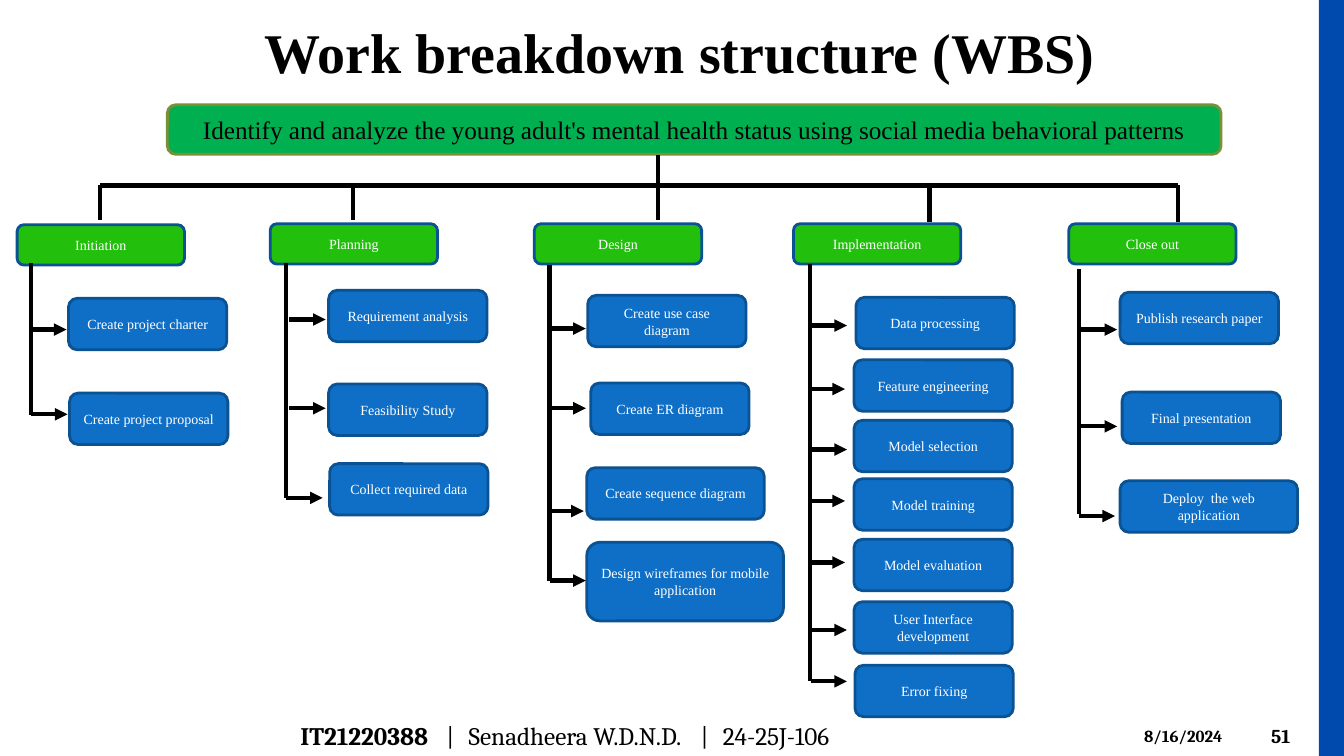
"""Build the work breakdown structure slide."""
from lxml import etree
from pptx import Presentation
from pptx import util as u
from pptx.dml.color import RGBColor
from pptx.enum import shapes, text
from pptx.oxml import ns

PX = 9144
BLACK = RGBColor(0x00, 0x00, 0x00)
WHITE = RGBColor(0xFF, 0xFF, 0xFF)
BAR_BLUE = RGBColor(0x00, 0x4A, 0xAD)
ROOT_GREEN = RGBColor(0x00, 0xB0, 0x50)
ROOT_EDGE = RGBColor(0x7A, 0x90, 0x36)
PHASE_GREEN = RGBColor(0x22, 0xBF, 0x0D)
TASK_BLUE = RGBColor(0x0F, 0x6F, 0xC6)
BOX_EDGE = RGBColor(0x0B, 0x52, 0x92)
SERIF = "Times New Roman"
FOOTER_FONT = "Cambria"
ARROW_LENGTH = 36
BUS_Y = 184

presentation = Presentation()
presentation.slide_width = 1333 * PX
presentation.slide_height = 750 * PX
slide = presentation.slides.add_slide(presentation.slide_layouts[5])


def write_text(shape, wording, size, font, color, bold=False, align=text.PP_ALIGN.CENTER):
    """Fill a shape with one formatted paragraph and return it."""
    frame = shape.text_frame
    frame.text = wording
    frame.word_wrap = True
    frame.vertical_anchor = text.MSO_ANCHOR.MIDDLE
    paragraph = frame.paragraphs[0]
    paragraph.alignment = align
    for run in paragraph.runs:
        run.font.size = u.Pt(size)
        run.font.name = font
        run.font.bold = bold
        run.font.color.rgb = color
    return paragraph


def add_line(x1, y1, x2, y2, arrow=False):
    """Draw a black line, with an arrowhead at its end if asked."""
    line = slide.shapes.add_connector(
        shapes.MSO_CONNECTOR.STRAIGHT, x1 * PX, y1 * PX, x2 * PX, y2 * PX)
    line.line.color.rgb = BLACK
    line.line.width = u.Pt(3)
    properties = line.line._get_or_add_ln()
    if arrow:
        etree.SubElement(properties, ns.qn("a:tailEnd"), type="triangle")
    etree.SubElement(properties.getparent(), ns.qn("a:effectLst"))


title = slide.shapes.title
title.left, title.top, title.width, title.height = [n * PX for n in (35, 2, 1278, 87)]
heading = write_text(title, "Work breakdown structure (WBS)", 40, SERIF, BLACK, bold=True)
title.text_frame.auto_size = text.MSO_AUTO_SIZE.NONE
heading.line_spacing = 1.16
heading.space_before = u.Pt(0)
heading.space_after = u.Pt(8)

footers = [
    ("51", (1251, 710, 74, 40), 14),
    ("8/16/2024", (1125, 715, 117, 30), 12),
    ("IT21220388", (288, 710, 745, 40), 18),
]
for wording, bounds, size in footers:
    footer = slide.shapes.add_textbox(*[n * PX for n in bounds])
    credit = write_text(footer, wording, size, FOOTER_FONT, BLACK, True, text.PP_ALIGN.LEFT)

tab_list = etree.SubElement(credit._p.get_or_add_pPr(), ns.qn("a:tabLst"))
for stop in (145, 167, 397, 419):
    etree.SubElement(tab_list, ns.qn("a:tab"), pos=str(stop * PX), algn="l")
details = credit.add_run()
details.text = "\t|\tSenadheera W.D.N.D.\t|\t24-25J-106"
details.font.size = u.Pt(18)
details.font.name = FOOTER_FONT
details.font.bold = False
details.font.color.rgb = BLACK

bar = slide.shapes.add_shape(
    shapes.MSO_SHAPE.RECTANGLE, 1308 * PX, 0, 25 * PX, 750 * PX)
bar.shadow.inherit = False
bar.fill.solid()
bar.fill.fore_color.rgb = BAR_BLUE
bar.line.fill.background()

# Each phase: name, left, top, trunk (x, top, bottom), tasks (name, bounds, arrow start).
phases = [
    ("Initiation", 17, 223, (31, 261, 412), [
        ("Create project charter", (68, 296, 157, 51), (30, 327)),
        ("Create project proposal", (69, 390, 157, 51), (31, 411)),
    ]),
    ("Planning", 268, 222, (284, 261, 494), [
        ("Requirement analysis", (326, 288, 157, 51), (287, 317)),
        ("Feasibility Study", (326, 381, 157, 51), (287, 405)),
        ("Collect required data", (327, 460, 157, 51), (284, 494)),
    ]),
    ("Design", 530, 222, (545, 263, 576), [
        ("Create use case diagram", (583, 293, 157, 51), (545, 326)),
        ("Create ER diagram", (586, 380, 157, 51), (545, 405)),
        ("Create sequence diagram", (582, 464, 176, 51), (543, 507)),
        ("Design wireframes for mobile application", (582, 538, 195, 78), (545, 576)),
    ]),
    ("Implementation", 787, 222, (803, 262, 676), [
        ("Data processing", (849, 295, 157, 51), (804, 323)),
        ("Feature engineering", (847, 357, 157, 51), (802, 386)),
        ("Model selection", (847, 417, 157, 51), (804, 446)),
        ("Model training", (847, 475, 157, 51), (802, 497)),
        ("Model evaluation", (847, 535, 157, 51), (802, 558)),
        ("User Interface development", (847, 597, 157, 51), (804, 625)),
        ("Error fixing", (848, 660, 157, 51), (804, 676)),
    ]),
    ("Close out", 1060, 222, (1070, 267, 510), [
        ("Publish research paper", (1111, 290, 157, 51), (1072, 327)),
        ("Final presentation", (1113, 389, 157, 51), (1072, 423)),
        ("Deploy  the web application", (1111, 477, 176, 51), (1070, 512)),
    ]),
]

boxes = [("Identify and analyze the young adult's mental health status "
          "using social media behavioral patterns",
          (166, 104, 1045, 49), ROOT_GREEN, ROOT_EDGE, 18, BLACK)]
for name, left, top, trunk, tasks in phases:
    boxes.append((name, (left, top, 166, 40), PHASE_GREEN, BOX_EDGE, 10, WHITE))
    for task, bounds, arrow_start in tasks:
        boxes.append((task, bounds, TASK_BLUE, BOX_EDGE, 10, WHITE))

for wording, bounds, fill, edge, size, color in boxes:
    box = slide.shapes.add_shape(
        shapes.MSO_SHAPE.ROUNDED_RECTANGLE, *[n * PX for n in bounds])
    box.shadow.inherit = False
    box.fill.solid()
    box.fill.fore_color.rgb = fill
    box.line.color.rgb = edge
    box.line.width = u.Pt(2)
    write_text(box, wording, size, SERIF, color)

for name, left, top, (trunk_x, trunk_top, trunk_bottom), tasks in phases:
    add_line(trunk_x, trunk_top, trunk_x, trunk_bottom)
    for task, bounds, (x, y) in tasks:
        add_line(x, y, x + ARROW_LENGTH, y, arrow=True)

add_line(99, BUS_Y, 1168, BUS_Y)
add_line(653, 154, 653, BUS_Y)
for drop_x, drop_end in ((99, 218), (350, 218), (653, 218), (922, 220), (1168, 220)):
    add_line(drop_x, BUS_Y, drop_x, drop_end)

presentation.save("out.pptx")
